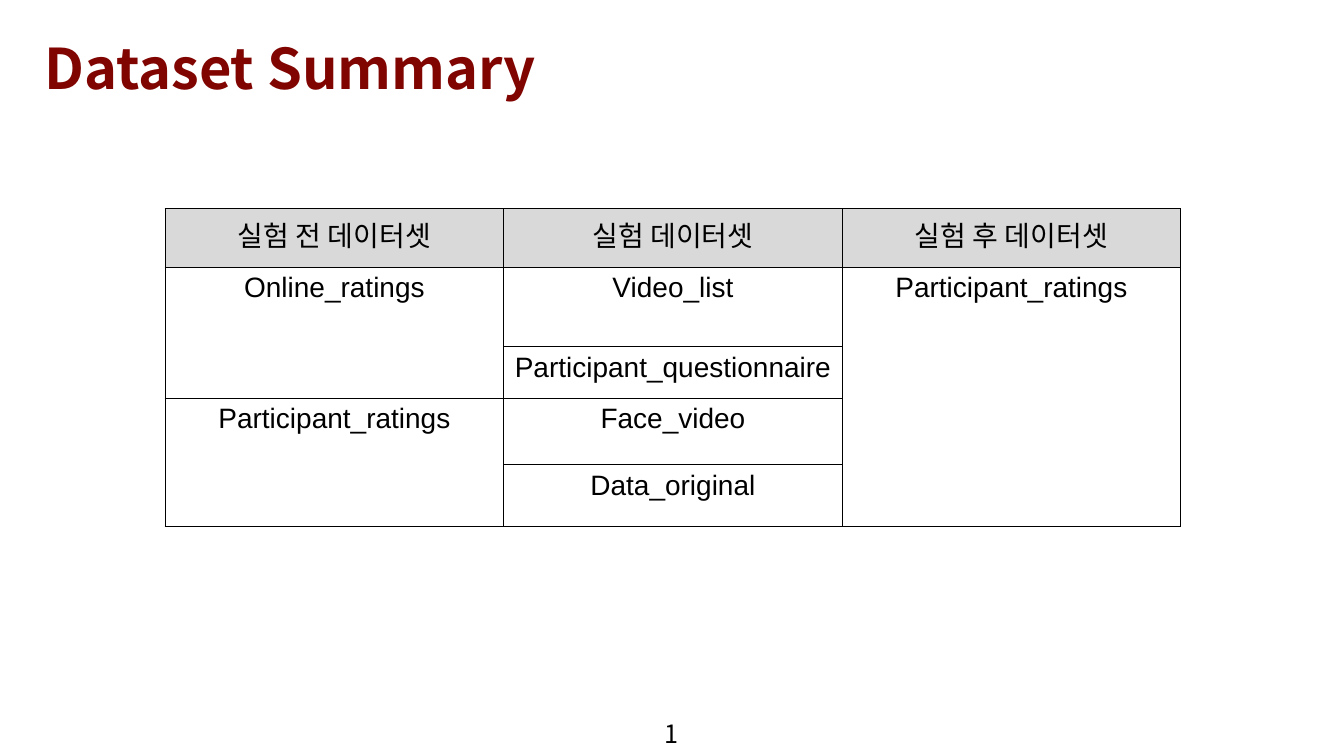
"""Build the Dataset Summary slide."""
import pptx
import pptx.util
import pptx.dml.color
import pptx.enum.text
import lxml.etree

HEADS = ["실험 전 데이터셋", "실험 데이터셋", "실험 후 데이터셋"]
BODY = [
    ["Online_ratings", "Video_list", "Participant_ratings"],
    ["", "Participant_questionnaire", ""],
    ["Participant_ratings", "Face_video", ""],
    ["", "Data_original", ""],
]
MERGES = [((1, 0), (2, 0)), ((3, 0), (4, 0)), ((1, 2), (4, 2))]
ROWS = [58, 79, 51, 66, 61]
COL = 336
THEME = {
    "title": "800400", "ink": "000000", "head": "D9D9D9",
    "big": 40, "mid": 20, "small": 18, "rule": 1,
    "sans": "Arial", "noto": "Noto Sans CJK KR",
}
ALIGN = pptx.enum.text.PP_ALIGN
ANCHOR = pptx.enum.text.MSO_ANCHOR


def px(num):
    """Turn px into EMU at 100 px to the inch."""
    return pptx.util.Emu(num * 9144)


def write(frame, text, size, color="ink", font="noto", bold=False, align=ALIGN.CENTER):
    """Put formatted text into a text frame."""
    para = frame.paragraphs[0]
    para.alignment = align
    run = para.add_run()
    run.text = text
    run.font.size = pptx.util.Pt(THEME[size])
    run.font.bold = bold
    run.font.name = THEME[font]
    run.font.color.rgb = pptx.dml.color.RGBColor.from_string(THEME[color])
    east = pptx.oxml.parse_xml(
        f'<a:ea xmlns:a="{pptx.oxml.ns.nsdecls("a").split(chr(34))[1]}" '
        f'typeface="{THEME["noto"]}"/>')
    run.font._element.find(pptx.oxml.ns.qn("a:latin")).addnext(east)


def rule(cell):
    """Draw the four borders of a cell."""
    qn, props = pptx.oxml.ns.qn, cell._tc.get_or_add_tcPr()
    for side in "LRTB":
        width = pptx.util.Pt(THEME["rule"])
        line = lxml.etree.SubElement(props, qn(f"a:ln{side}"), w=str(int(width)))
        fill = lxml.etree.SubElement(line, qn("a:solidFill"))
        lxml.etree.SubElement(fill, qn("a:srgbClr"), val=THEME["ink"])


def main():
    """Lay out the title, the table and the page number."""
    deck = pptx.Presentation()
    deck.slide_width, deck.slide_height = px(1334), px(750)
    slide = deck.slides.add_slide(deck.slide_layouts[6])

    title = slide.shapes.add_textbox(px(44), px(43), px(1246), px(47)).text_frame
    title.word_wrap = True
    title.vertical_anchor = ANCHOR.MIDDLE
    title.margin_left = title.margin_right = title.margin_top = title.margin_bottom = 0
    write(title, "Dataset Summary", "big", color="title", bold=True, align=ALIGN.LEFT)

    page = slide.shapes.add_textbox(px(517), px(708), px(300), px(40)).text_frame
    page.word_wrap = True
    write(page, "1", "small")

    grid = slide.shapes.add_table(
        len(ROWS), len(HEADS), px(164), px(207), px(COL * len(HEADS)), px(sum(ROWS))).table
    for col in grid.columns:
        col.width = px(COL)
    for row, high in zip(grid.rows, ROWS):
        row.height = px(high)
    for r, names in enumerate([HEADS] + BODY):
        for c, name in enumerate(names):
            cell = grid.cell(r, c)
            rule(cell)
            if r == 0:
                cell.fill.solid()
                cell.fill.fore_color.rgb = pptx.dml.color.RGBColor.from_string(THEME["head"])
            else:
                cell.fill.background()
            if name:
                write(cell.text_frame, name, "mid", font="sans")
    for first, last in MERGES:
        grid.cell(*first).merge(grid.cell(*last))

    deck.save("out.pptx")


if __name__ == "__main__":
    main()
